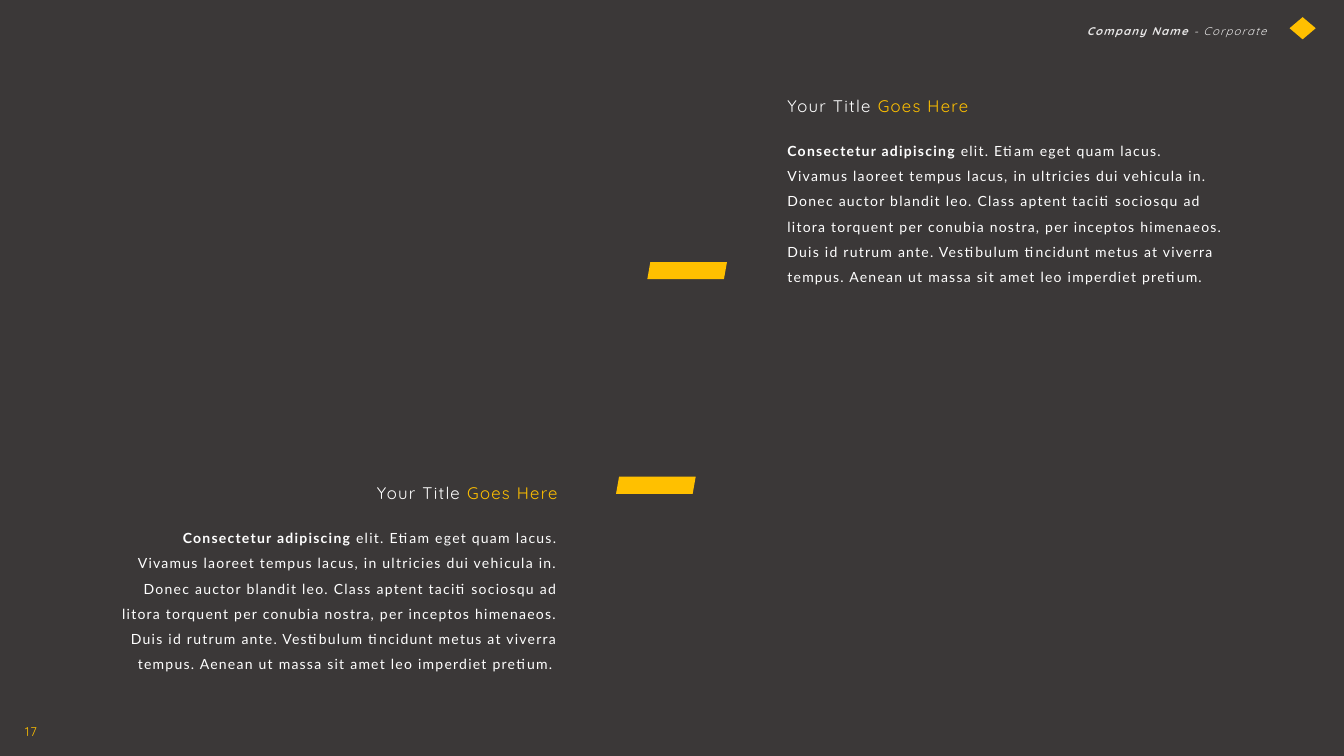
from pptx import Presentation
from pptx.dml.color import RGBColor
from pptx.enum.shapes import MSO_SHAPE
from pptx.enum.text import MSO_ANCHOR, MSO_AUTO_SIZE, PP_ALIGN
from pptx.oxml import parse_xml
from pptx.oxml.ns import nsdecls
from pptx.util import Inches, Pt

COLORS = {"ground": "3B3838", "gold": "FFC000", "silver": "E7E6E6", "white": "FFFFFF"}

HEADING = [("Your Title ", "white", False), ("Goes Here", "gold", False)]
LEAD = "Consectetur adipiscing "
STORY = (
    "elit. Etiam eget quam lacus. Vivamus laoreet tempus lacus, in ultricies dui "
    "vehicula in. Donec auctor blandit leo. Class aptent taciti sociosqu ad litora "
    "torquent per conubia nostra, per inceptos himenaeos. Duis id rutrum ante. "
    "Vestibulum tincidunt metus at viverra tempus. Aenean ut massa sit amet leo "
    "imperdiet pretium."
)
HEADER = [("Company Name ", "silver", True), ("- Corporate", "silver", False)]
PAGE_NUMBER = [("17", "gold", False)]

HEADING_SIZE = (2.45, 0.37)
BODY_SIZE = (4.53, 1.58)
BODY_DROP = 0.47
SECTIONS = [
    {"edge": 7.71, "top": 0.81, "align": PP_ALIGN.LEFT, "ending": ""},
    {"edge": 5.63, "top": 4.65, "align": PP_ALIGN.RIGHT, "ending": " "},
]
BARS = [(6.11, 4.73), (6.42, 2.6)]
BAR_SIZE = (0.79, 0.17)
BAR_SLANT = 0.03

deck = Presentation()
deck.slide_width = Inches(13.33)
deck.slide_height = Inches(7.5)
page = deck.slides.add_slide(deck.slide_layouts[3])
page.background.fill.solid()
page.background.fill.fore_color.rgb = RGBColor.from_string(COLORS["ground"])


def add_box():
    return page.shapes.add_textbox(0, 0, 0, 0)


def place(shape, left, top, width, height):
    shape.left, shape.top = Inches(left), Inches(top)
    shape.width, shape.height = Inches(width), Inches(height)


def write(box, spans, font, size, align=PP_ALIGN.LEFT, anchor=MSO_ANCHOR.TOP, italic=False):
    frame = box.text_frame
    frame.word_wrap = True
    frame.auto_size = MSO_AUTO_SIZE.NONE
    frame.vertical_anchor = anchor
    para = frame.paragraphs[0]
    if box.is_placeholder:
        properties = para._p.get_or_add_pPr()
        properties.set("marL", "0")
        properties.set("indent", "0")
        properties.append(parse_xml(f"<a:buNone {nsdecls('a')}/>"))
    para.alignment = align
    para.line_spacing = 1.5
    para.space_before = Pt(0)
    for words, color, bold in spans:
        span = para.add_run()
        span.text = words
        span.font.name = font
        span.font.size = Pt(size)
        span.font.bold = bold
        span.font.italic = italic
        span.font.color.rgb = RGBColor.from_string(COLORS[color])
        span._r.get_or_add_rPr().set("spc", "90")


def add_gold_shape(kind, left, top, width, height):
    shape = page.shapes.add_shape(kind, 0, 0, 0, 0)
    place(shape, left, top, width, height)
    shape.shadow.inherit = False
    shape.fill.solid()
    shape.fill.fore_color.rgb = RGBColor.from_string(COLORS["gold"])
    shape.line.fill.background()
    return shape


add_gold_shape(MSO_SHAPE.DIAMOND, 12.79, 0.17, 0.26, 0.22)

header = add_box()
place(header, 10.64, 0.13, 2.02, 0.28)
write(header, HEADER, "Quicksand", 8, PP_ALIGN.RIGHT, italic=True)

page_number = add_box()
place(page_number, 0.15, 7.06, 0.53, 0.3)
write(page_number, PAGE_NUMBER, "Quicksand", 9)

headings = [page.shapes.title, add_box()]
bodies = [page.placeholders[1], page.placeholders[2]]
for section, heading, body in zip(SECTIONS, headings, bodies):
    align, top = section["align"], section["top"]
    story = [(LEAD, "white", True), (STORY + section["ending"], "white", False)]
    for box, (width, height), drop in ((heading, HEADING_SIZE, 0), (body, BODY_SIZE, BODY_DROP)):
        left = section["edge"] - (width if align == PP_ALIGN.RIGHT else 0)
        place(box, left, top + drop, width, height)
    write(heading, HEADING, "Quicksand", 12, align, MSO_ANCHOR.MIDDLE)
    write(body, story, "Lato", 10, align)

for left, top in BARS:
    bar = add_gold_shape(MSO_SHAPE.PARALLELOGRAM, left, top, *BAR_SIZE)
    bar.adjustments[0] = BAR_SLANT / BAR_SIZE[1]

deck.save("out.pptx")
